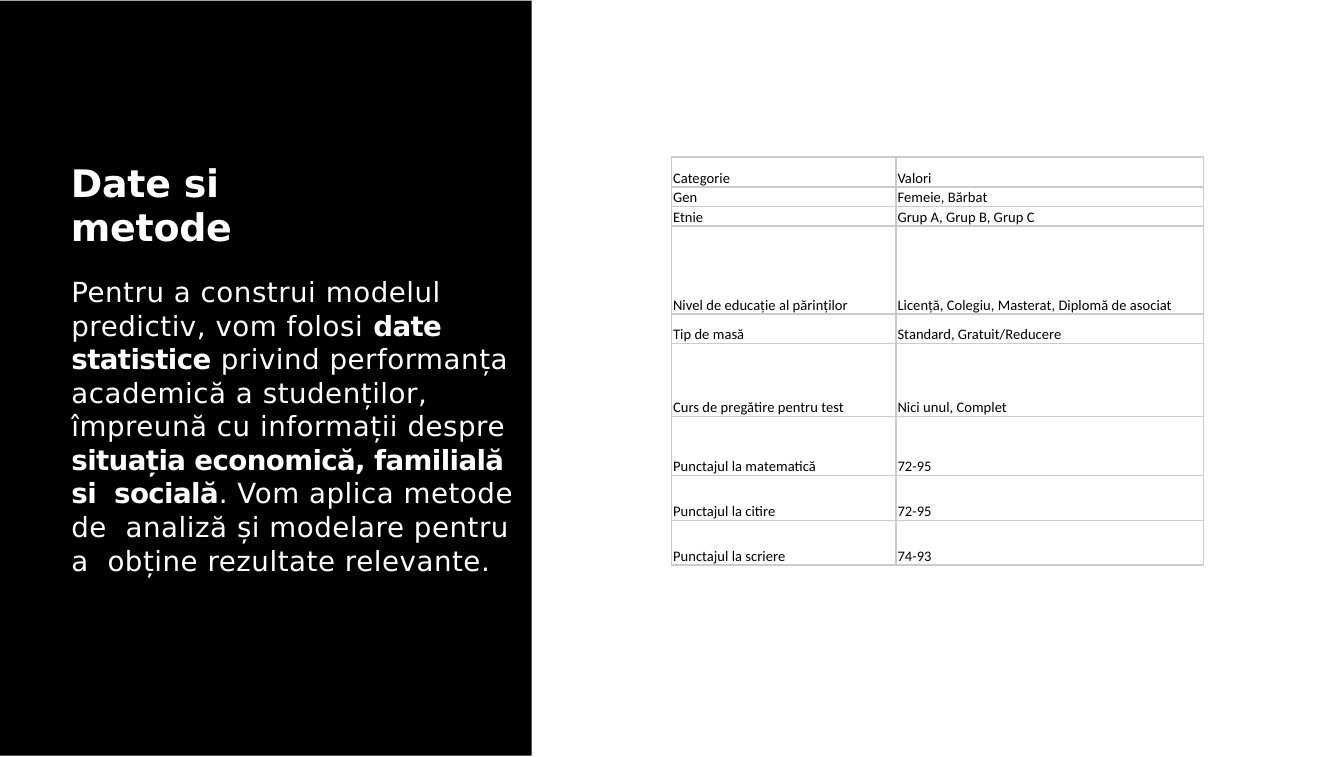
from lxml import etree
from pptx import Presentation
from pptx.dml.color import RGBColor
from pptx.enum import shapes, text
from pptx.oxml import ns
from pptx.util import Pt

BLACK = RGBColor(0, 0, 0)
WHITE = RGBColor(255, 255, 255)
GREY = RGBColor(0xCC, 0xCC, 0xCC)

HEAD = dict(name="DejaVu Sans", size=Pt(13), bold=True)
PLAIN = dict(name="DejaVu Sans", size=Pt(9.5), bold=False)
BOLD = dict(PLAIN, bold=True)
CELL = dict(name="Calibri", size=Pt(5), bold=False)

BODY = [
    ("Pentru a construi modelul predictiv, vom folosi ", False),
    ("date statistice", True),
    (" privind performanța academică a studenților, împreună cu "
     "informații despre ", False),
    ("situația economică, familială si  socială", True),
    (". Vom aplica metode de  analiză și modelare pentru a  obține "
     "rezultate relevante.", False),
]
ROWS = [
    ("Categorie", "Valori", 10.3),
    ("Gen", "Femeie, Bărbat", 6.6),
    ("Etnie", "Grup A, Grup B, Grup C", 6.7),
    ("Nivel de educație al părinților",
     "Licență, Colegiu, Masterat, Diplomă de asociat", 30.2),
    ("Tip de masă", "Standard, Gratuit/Reducere", 10.2),
    ("Curs de pregătire pentru test", "Nici unul, Complet", 25),
    ("Punctajul la matematică", "72-95", 20.2),
    ("Punctajul la citire", "72-95", 15.4),
    ("Punctajul la scriere", "74-93", 15.4),
]
COLS = (77, 105.4)


def style(item, form):
    """Set each format value on an object."""
    for key, val in form.items():
        setattr(item, key, val)


def add_run(para, words, form, color, space=0):
    """Add a run with font, colour and letter spacing in points."""
    run = para.add_run()
    run.text = words
    style(run.font, form)
    run.font.color.rgb = color
    if space:
        run.font._element.set("spc", str(round(space * 100)))


def set_box(shape, left, top, width, height, inset):
    """Place a text shape and return its first paragraph."""
    style(shape, dict(left=Pt(left), top=Pt(top),
                      width=Pt(width), height=Pt(height)))
    frame = shape.text_frame
    style(frame, dict(margin_left=Pt(0.9), margin_right=0,
                      margin_top=Pt(inset), margin_bottom=0, word_wrap=True,
                      auto_size=text.MSO_AUTO_SIZE.NONE,
                      vertical_anchor=text.MSO_ANCHOR.TOP))
    para = frame.paragraphs[0]
    para.alignment = text.PP_ALIGN.LEFT
    return para


def add_panel(slide, width, height):
    """Draw the black panel behind the text."""
    panel = slide.shapes.add_shape(shapes.MSO_SHAPE.RECTANGLE,
                                   0, Pt(0.2), Pt(width), Pt(height))
    panel.shadow.inherit = False
    panel.fill.solid()
    panel.fill.fore_color.rgb = BLACK
    panel.line.fill.background()
    panel.element.getparent().insert(2, panel.element)


def add_title(slide):
    """Fill the title placeholder."""
    para = set_box(slide.shapes.title, 23.4, 54, 104.5, 34, 1.4)
    style(para, dict(line_spacing=0.98, space_before=Pt(1.2)))
    add_run(para, "Date si metode", HEAD, WHITE, -0.05)


def add_body(slide):
    """Add the paragraph on data and methods."""
    box = slide.shapes.add_textbox(0, 0, 0, 0)
    para = set_box(box, 23.6, 93.4, 155, 106.6, 0.7)
    style(para, dict(line_spacing=1.01, space_before=Pt(0.9)))
    for words, strong in BODY:
        form, space = (BOLD, -0.2) if strong else (PLAIN, 0.2)
        add_run(para, words, form, WHITE, space)


def set_edges(cell):
    """Draw thin grey borders round a cell."""
    props = cell._tc.get_or_add_tcPr()
    for spot, side in enumerate(("lnL", "lnR", "lnT", "lnB")):
        line = etree.Element(ns.qn("a:" + side), w=str(Pt(0.6)))
        fill = etree.SubElement(line, ns.qn("a:solidFill"))
        etree.SubElement(fill, ns.qn("a:srgbClr"), val=str(GREY))
        props.insert(spot, line)


def add_grid(slide):
    """Add the table of categories and values."""
    high = sum(row[-1] for row in ROWS)
    table = slide.shapes.add_table(len(ROWS), len(COLS), Pt(230.4), Pt(53.9),
                                   Pt(sum(COLS)), Pt(high)).table
    style(table, dict(first_row=False, horz_banding=False))
    for col, width in zip(table.columns, COLS):
        col.width = Pt(width)
    for row, (*words, height) in zip(table.rows, ROWS):
        row.height = Pt(height)
        for cell, word in zip(row.cells, words):
            style(cell, dict(margin_left=Pt(0.5), margin_right=Pt(0.5),
                             margin_top=0, margin_bottom=0,
                             vertical_anchor=text.MSO_ANCHOR.BOTTOM))
            cell.fill.background()
            set_edges(cell)
            add_run(cell.text_frame.paragraphs[0], word, CELL, BLACK)


def main():
    """Build the slide and save it."""
    deck = Presentation()
    style(deck, dict(slide_width=Pt(461), slide_height=Pt(259.5)))
    slide = deck.slides.add_slide(deck.slide_layouts[5])
    add_panel(slide, 182.4, 258.9)
    add_title(slide)
    add_body(slide)
    add_grid(slide)
    deck.save("out.pptx")


main()
